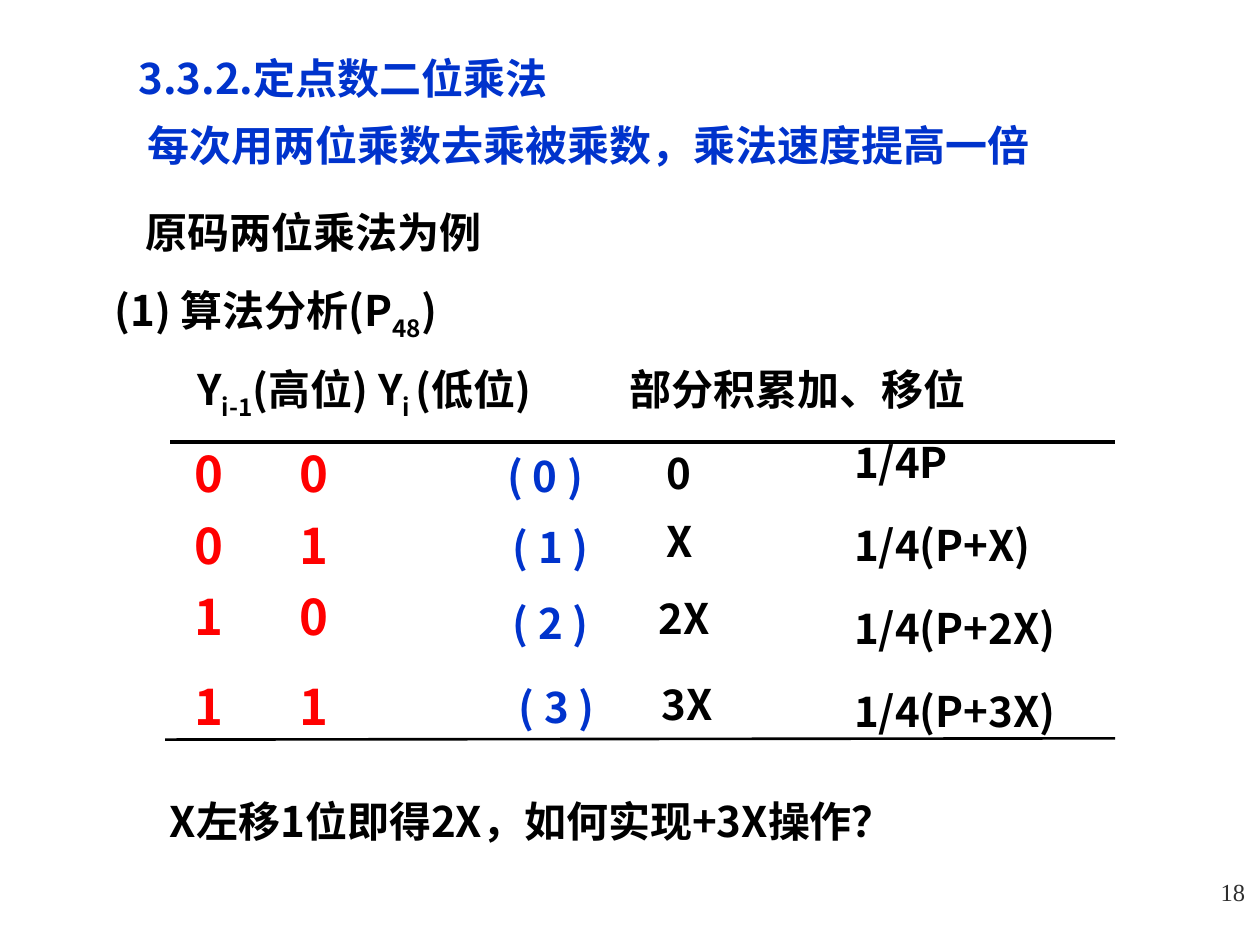
import pptx
import pptx.dml.color
import pptx.enum.shapes
import pptx.enum.text
import pptx.oxml
import pptx.oxml.ns
import pptx.util
from pptx.util import Inches

BLUE = pptx.dml.color.RGBColor(0x00, 0x33, 0xCC)
RED = pptx.dml.color.RGBColor(0xFF, 0x00, 0x00)
BLACK = pptx.dml.color.RGBColor(0x00, 0x00, 0x00)
GREY = pptx.dml.color.RGBColor(0x2F, 0x2F, 0x2F)
SANS = "Noto Sans CJK SC"
SERIF = "Times New Roman"
NS = pptx.oxml.ns.nsdecls("a")


def line(text, height, before=0, indent=0, tab=None):
    """Describe one line of text; heights and gaps in points, the rest in inches."""
    return {"text": text, "height": height, "before": before,
            "indent": indent, "tab": tab}


def add_span(para, text, size, color, font, bold, subscript):
    span = para.add_run()
    span.text = text
    values = {"name": font, "size": pptx.util.Pt(size), "bold": bold}
    for name, value in values.items():
        setattr(span.font, name, value)
    span.font.color.rgb = color
    properties = span._r.get_or_add_rPr()
    properties.append(pptx.oxml.parse_xml(f'<a:ea {NS} typeface="{font}"/>'))
    if subscript:
        properties.set("baseline", "-25000")


def add_text(page, place, lines, size=24, color=BLACK, font=SANS, bold=True,
             inset=0.1, wrap=True, align="LEFT", anchor="TOP"):
    """Add a text box; every second piece of a tuple is a subscript."""
    box = page.shapes.add_textbox(*map(Inches, place))
    frame = box.text_frame
    frame_values = {"word_wrap": wrap, "margin_left": Inches(inset),
                    "vertical_anchor": pptx.enum.text.MSO_ANCHOR[anchor]}
    for name, value in frame_values.items():
        setattr(frame, name, value)
    for index, item in enumerate(lines):
        para = frame.add_paragraph() if index else frame.paragraphs[0]
        properties = para._p.get_or_add_pPr()
        if item["indent"]:
            properties.set("marL", str(Inches(item["indent"])))
        if item["tab"]:
            properties.append(pptx.oxml.parse_xml(
                f'<a:tabLst {NS}><a:tab pos="{Inches(item["tab"])}" algn="l"/></a:tabLst>'))
        para_values = {"alignment": pptx.enum.text.PP_ALIGN[align],
                       "line_spacing": pptx.util.Pt(item["height"]),
                       "space_before": pptx.util.Pt(item["before"])}
        for name, value in para_values.items():
            setattr(para, name, value)
        pieces = item["text"] if isinstance(item["text"], tuple) else (item["text"],)
        for number, piece in enumerate(pieces):
            add_span(para, piece, size, color, font, bold, number % 2 == 1)


def add_rule(page, start, end, width):
    rule = page.shapes.add_connector(
        pptx.enum.shapes.MSO_CONNECTOR.STRAIGHT, *map(Inches, start + end))
    rule.line.color.rgb = BLACK
    rule.line.width = pptx.util.Pt(width)
    rule._element.spPr.append(pptx.oxml.parse_xml(f"<a:effectLst {NS}/>"))


def add_headings(page):
    add_text(page, (1, 0.42, 8.5, 0.95), [
        line("3.3.2.定点数二位乘法", 25),
        line("每次用两位乘数去乘被乘数，乘法速度提高一倍", 25, 13.3, indent=0.07),
    ], color=BLUE)
    add_text(page, (0.81, 1.34, 3.53, 1.46), [
        line("原码两位乘法为例", 47, indent=0.25),
        line(("(1) 算法分析(P", "48", ")"), 30, 18.6),
    ], wrap=False)


def add_rule_table(page):
    """Lay out the multiplier bits with the multiple and shift each one calls for."""
    header = ("Y", "i-1", "(高位) Y", "i ", "(低位)\t部分积累加、移位")
    add_text(page, (1.47, 2.96, 7.58, 0.42), [line(header, 24, tab=3.43)])
    add_rule(page, (1.35, 3.51), (8.85, 3.51), 2.25)
    add_rule(page, (1.31, 5.87), (8.85, 5.86), 1.5)

    bit_gaps = (0, 16, 16, 26.4)
    bits = [line(f"{value // 2}\t{value % 2}", 25, gap, tab=0.84)
            for value, gap in enumerate(bit_gaps)]
    add_text(page, (1.27, 3.59, 2.83, 2.72), bits, size=28, color=RED, inset=0.27)

    results = ("1/4P", "1/4(P+X)", "1/4(P+2X)", "1/4(P+3X)")
    add_text(page, (6.6, 3.47, 3.3, 2.39),
             [line(text, 25, 22.4 if index else 0)
              for index, text in enumerate(results)], inset=0.18)

    value_places = ((3.93, 3.51), (3.97, 4.07), (3.97, 4.68), (4.02, 5.34))
    for value, place in enumerate(value_places):
        add_text(page, place + (1.25, 0.5), [line(f"( {value} )", 30)], color=BLUE)

    multiples = (("0", 4.97, 3.32), ("X", 4.97, 3.86),
                 ("2X", 4.91, 4.47), ("3X", 4.93, 5.15))
    for text, left, top in multiples:
        add_text(page, (left, top, 1.25, 0.7), [line(text, 42)], inset=0.32)


def main():
    deck = pptx.Presentation()
    deck.slide_width, deck.slide_height = Inches(10), Inches(7.5)
    page = deck.slides.add_slide(deck.slide_layouts[6])
    add_headings(page)
    add_rule_table(page)
    add_text(page, (1.25, 6.25, 6.92, 0.5),
             [line("X左移1位即得2X，如何实现+3X操作？", 30)])
    add_text(page, (7.9, 6.83, 2.08, 0.5), [line("18", 17)], size=14,
             color=GREY, font=SERIF, bold=False, align="RIGHT", anchor="MIDDLE")
    deck.save("out.pptx")


if __name__ == "__main__":
    main()
